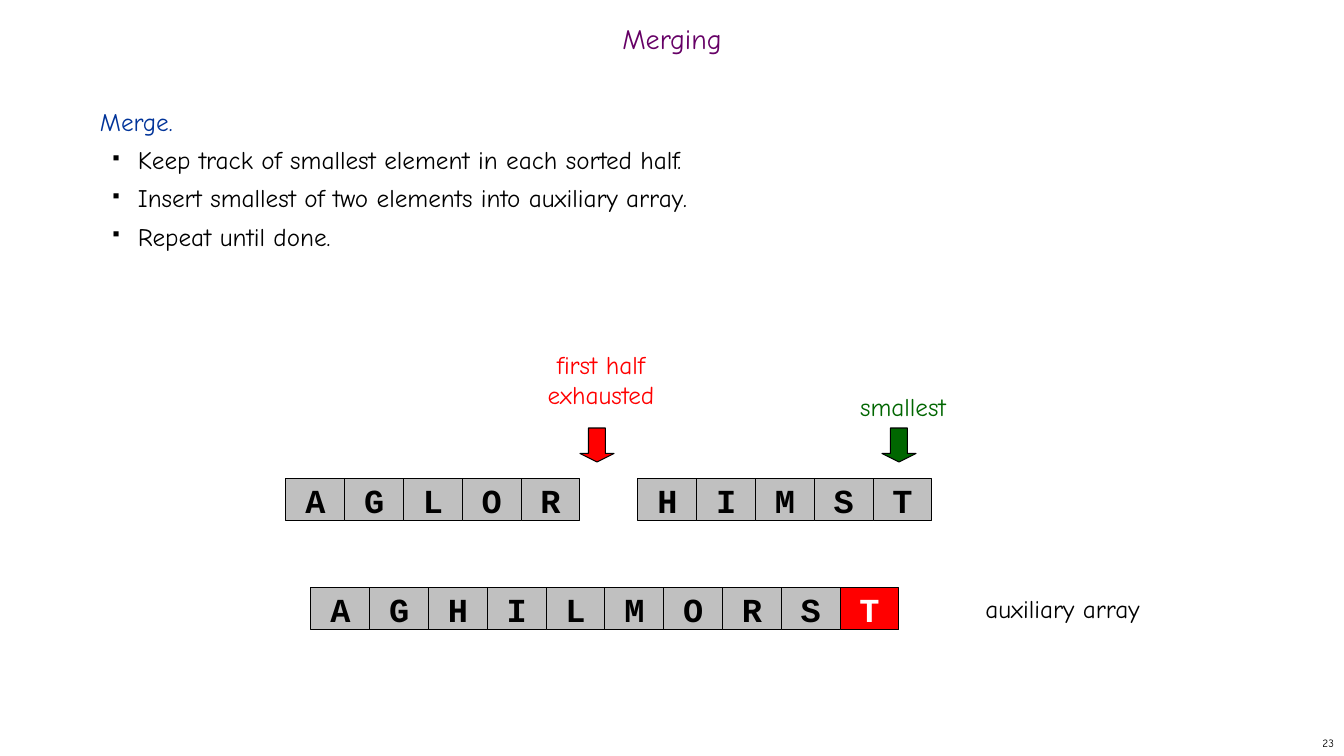
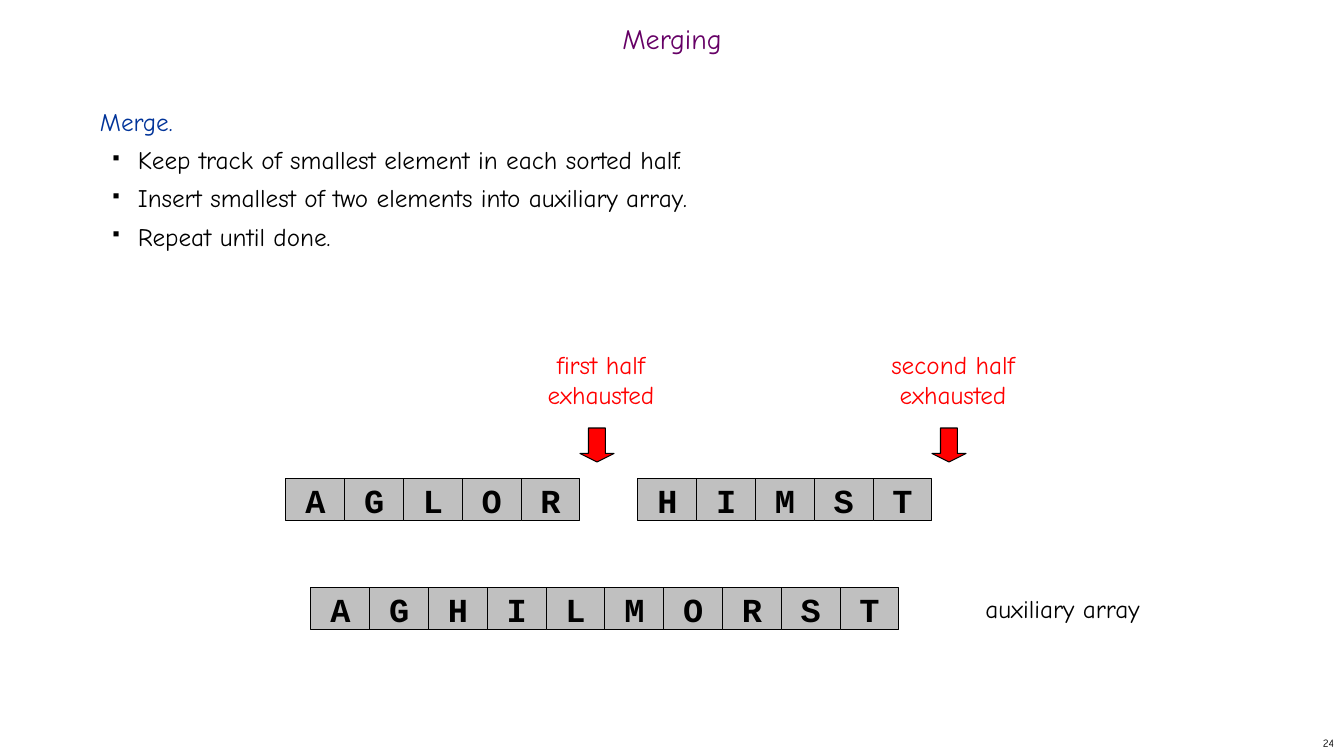
from lxml import etree
from pptx import Presentation
from pptx import util as u
from pptx.dml.color import RGBColor
from pptx.enum import shapes, text
from pptx.oxml import ns

COLOURS = {"black": "000000", "white": "FFFFFF", "purple": "660066", "blue": "003399",
           "red": "FF0000", "green": "006600", "grey": "C0C0C0"}
PROSE, CODE = "Comic Neue", "Courier New"
CENTER, RIGHT, LEFT = text.PP_ALIGN.CENTER, text.PP_ALIGN.RIGHT, text.PP_ALIGN.LEFT
MIDDLE, TOP = text.MSO_ANCHOR.MIDDLE, text.MSO_ANCHOR.TOP
WIDTH, HEIGHT = 1344, 756
CELL_WIDTH, CELL_HEIGHT, ARROW_SIZE = 58.8, 42, 34
LABEL_WIDTH, LINE_HEIGHT = 210, 30
ARROW_TOP, HALVES_TOP, AUXILIARY_TOP = 428, 479, 588
STEPS = ["Keep track of smallest element in each sorted half.",
         "Insert smallest of two elements into auxiliary array.",
         "Repeat until done."]


def px(length):
    """Turn pixels into EMU."""
    return u.Emu(round(length * 914400 / 100.8))


def colour(name):
    """Look up a colour by name."""
    return RGBColor.from_string(COLOURS[name])


def assign(target, values):
    """Set every attribute named in a dict."""
    for name, value in values.items():
        setattr(target, name, value)


class Slides:
    """Holds the deck, its style and the current page."""

    def __init__(self):
        """Start an empty wide deck."""
        self.deck = Presentation()
        assign(self.deck, {"slide_width": px(WIDTH), "slide_height": px(HEIGHT)})
        self.page = None

    def fill_para(self, para, words, ink="black", size=18, font=PROSE, bold=False, **layout):
        """Fill one paragraph and format all its spans."""
        para.text = words
        assign(para, layout)
        for span in para.runs:
            assign(span.font, {"name": font, "size": u.Pt(size), "bold": bold})
            span.font.color.rgb = colour(ink)

    def start(self, title, number):
        """Add a page with its title and page number."""
        self.page = self.deck.slides.add_slide(self.deck.slide_layouts[5])
        box = self.page.shapes.title
        assign(box, {"left": 0, "top": px(17), "width": px(WIDTH), "height": px(50)})
        assign(box.text_frame, {"vertical_anchor": MIDDLE, "auto_size": text.MSO_AUTO_SIZE.NONE})
        self.fill_para(box.text_frame.paragraphs[0], title, "purple", 20,
                       alignment=CENTER, line_spacing=0.7)
        self.label(1064, 731, 280, 25, str(number), size=8, align=RIGHT, anchor=MIDDLE)

    def label(self, left, top, width, height, words, ink="black", size=18,
              align=CENTER, anchor=TOP):
        """Add a text box and return its frame."""
        box = self.page.shapes.add_textbox(px(left), px(top), px(width), px(height))
        frame = box.text_frame
        assign(frame, {"word_wrap": True, "vertical_anchor": anchor})
        self.fill_para(frame.paragraphs[0], words, ink, size, alignment=align)
        return frame

    def bullets(self, heading, items):
        """Add a heading with a square-bulleted list below it."""
        frame = self.label(90, 101, 1153, 597, heading, "blue", align=LEFT)
        for item in items:
            para = frame.add_paragraph()
            self.fill_para(para, item, line_spacing=1.1, space_before=u.Pt(3.6))
            props = para._p.get_or_add_pPr()
            props.set("marL", str(px(38)))
            props.set("indent", str(-px(25)))
            tint = etree.SubElement(props, ns.qn("a:buClr"))
            etree.SubElement(tint, ns.qn("a:srgbClr"), val=COLOURS["black"])
            etree.SubElement(props, ns.qn("a:buSzPct"), val="35000")
            etree.SubElement(props, ns.qn("a:buChar"), char="■")

    def shape(self, kind, left, top, width, height, fill):
        """Add a filled shape with a thin black outline."""
        shape = self.page.shapes.add_shape(kind, px(left), px(top), px(width), px(height))
        shape.shadow.inherit = False
        shape.fill.solid()
        shape.fill.fore_color.rgb = colour(fill)
        shape.line.color.rgb = colour("black")
        shape.line.width = u.Pt(0.75)
        return shape

    def array(self, left, top, letters, marked=None):
        """Add a row of lettered cells, one of which may be marked."""
        for index, letter in enumerate(letters):
            fill, ink = ("red", "white") if index == marked else ("grey", "black")
            cell = self.shape(shapes.MSO_SHAPE.RECTANGLE, left + index * CELL_WIDTH, top,
                              CELL_WIDTH, CELL_HEIGHT, fill)
            assign(cell.text_frame, {"word_wrap": False, "vertical_anchor": MIDDLE})
            self.fill_para(cell.text_frame.paragraphs[0], letter, ink, 24, CODE, True,
                           alignment=CENTER)

    def pointer(self, left, words, ink):
        """Add a down arrow with a label of one or two lines above it."""
        lines = words.count("\v") + 1
        top = 386 if lines == 1 else 344
        self.label(left - 84, top, LABEL_WIDTH, 10 + lines * LINE_HEIGHT, words, ink)
        arrow = self.shape(shapes.MSO_SHAPE.DOWN_ARROW, left, ARROW_TOP,
                           ARROW_SIZE, ARROW_SIZE, ink)
        arrow.adjustments[0], arrow.adjustments[1] = 0.5, 0.25

    def merging(self, number, second_pointer, marked=None):
        """Build one step of the merge."""
        self.start("Merging", number)
        self.bullets("Merge.", STEPS)
        self.pointer(580, "first half\vexhausted", "red")
        self.pointer(*second_pointer)
        self.array(286, HALVES_TOP, "AGLOR")
        self.array(638, HALVES_TOP, "HIMST")
        self.array(311, AUXILIARY_TOP, "AGHILMORST", marked)
        self.label(966, AUXILIARY_TOP, 193, 40, "auxiliary array")


slides = Slides()
slides.merging(23, (882, "smallest", "green"), marked=9)
slides.merging(24, (932, "second half\vexhausted", "red"))
slides.deck.save("out.pptx")
